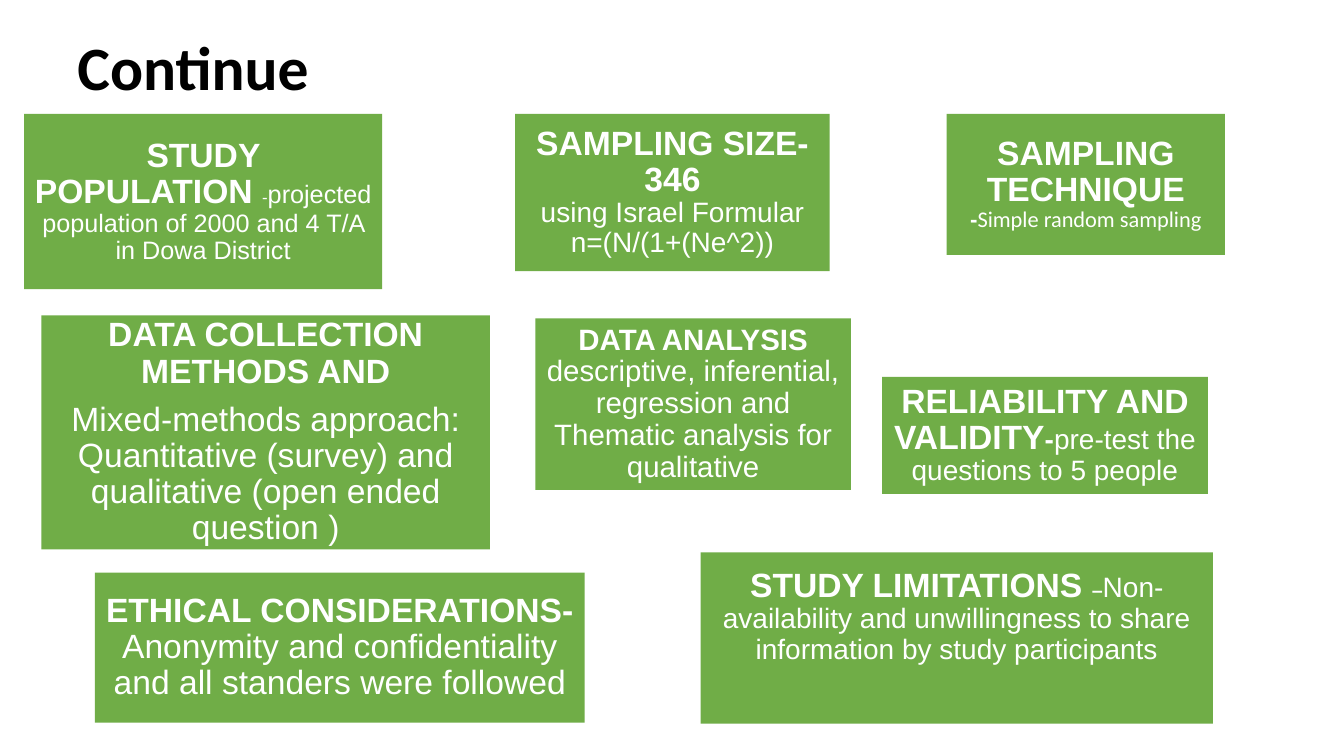
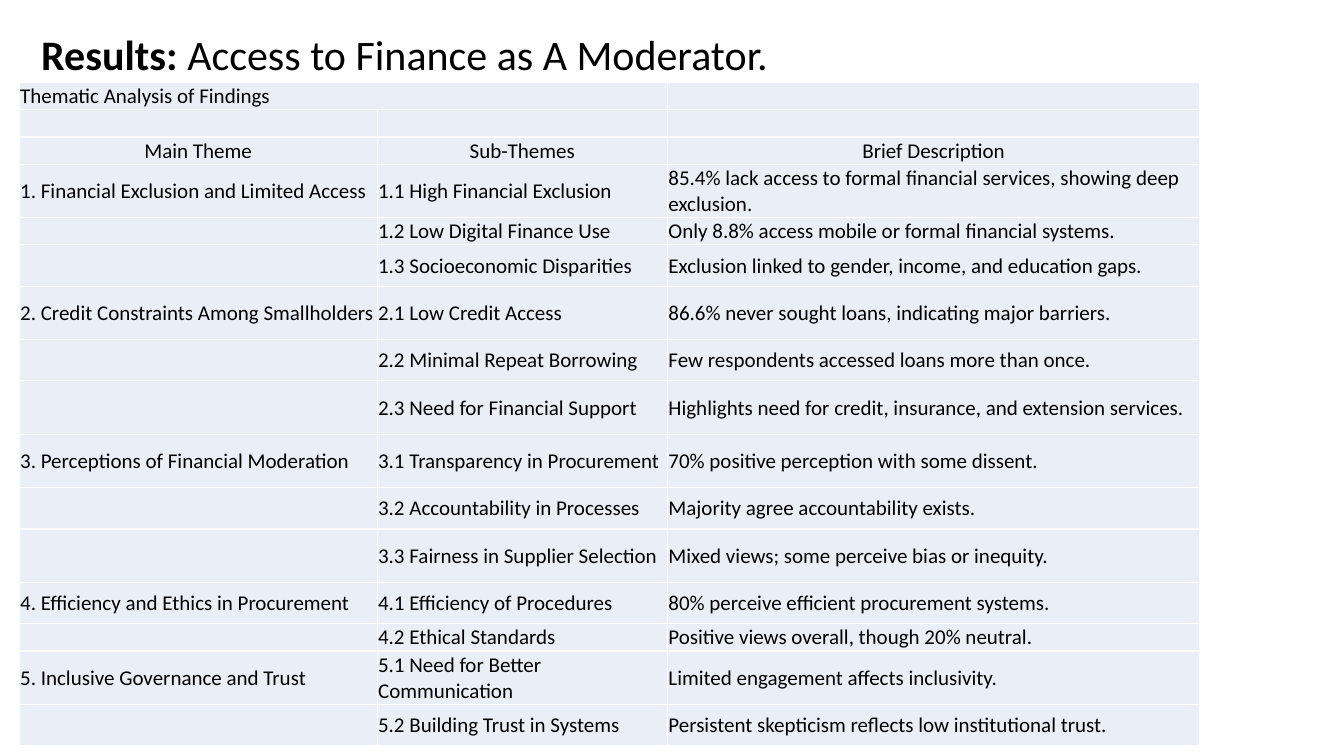
import lxml.etree
import pptx
import pptx.dml.color
import pptx.enum.shapes
import pptx.enum.text
import pptx.oxml.ns
import pptx.util

PX = 9144
GREEN, WHITE, BLACK, PALE = "70AD47", "FFFFFF", "000000", "EAEFF7"
BODY, HEAD = "Arial", "Calibri"
ALIGN = pptx.enum.text.PP_ALIGN
MIDDLE = pptx.enum.text.MSO_ANCHOR.MIDDLE
TOP = pptx.enum.text.MSO_ANCHOR.TOP

BOXES = [
    ((24, 113, 355, 174), [[("STUDY POPULATION ", 24, True), ("-", 12, False),
        ("projected population of 2000 and 4 T/A in Dowa District", 18, False)]]),
    ((511, 113, 312, 156), [[("SAMPLING SIZE- 346\n", 24, True),
        ("using Israel Formular n=(N/(1+(Ne^2))", 20, False)]]),
    ((939, 113, 276, 140), [[("SAMPLING TECHNIQUE\n", 24, True), ("-", 16, True),
        ("Simple random sampling", 16, False, HEAD)]]),
    ((41, 313, 445, 232), [[("DATA COLLECTION METHODS AND", 24, True)],
        [("Mixed-methods approach: Quantitative (survey) and "
          "qualitative (open ended question )", 24, False)]]),
    ((531, 316, 313, 170), [[("DATA ANALYSIS\n", 21, True),
        ("descriptive, inferential, regression and Thematic analysis for qualitative",
         21, False)]]),
    ((875, 374, 323, 116), [[("RELIABILITY AND VALIDITY", 24, True), ("-", 20, True),
        ("pre-test the questions to 5 people", 20, False)]]),
    ((94, 568, 486, 149), [[("ETHICAL CONSIDERATIONS-", 24, True),
        ("Anonymity and confidentiality and all standers were followed", 24, False)]]),
]
LIMITATIONS = ((695, 548, 508, 170), [[("STUDY LIMITATIONS ", 24, True), ("–", 14, True),
    ("Non-availability and unwillingness to share information by study participants",
     20, False)]])

COLUMNS = [355, 288, 528]
ROWS = [
    (27, "Thematic Analysis of Findings", "", ""),
    (27, "", "", ""),
    (27, "Main Theme", "Sub-Themes", "Brief Description"),
    (53, "1. Financial Exclusion and Limited Access", "1.1 High Financial Exclusion",
     "85.4% lack access to formal financial services, showing deep exclusion."),
    (27, "", "1.2 Low Digital Finance Use",
     "Only 8.8% access mobile or formal financial systems."),
    (41, "", "1.3 Socioeconomic Disparities",
     "Exclusion linked to gender, income, and education gaps."),
    (53, "2. Credit Constraints Among Smallholders", "2.1 Low Credit Access",
     "86.6% never sought loans, indicating major barriers."),
    (41, "", "2.2 Minimal Repeat Borrowing", "Few respondents accessed loans more than once."),
    (53, "", "2.3 Need for Financial Support",
     "Highlights need for credit, insurance, and extension services."),
    (53, "3. Perceptions of Financial Moderation", "3.1 Transparency in Procurement",
     "70% positive perception with some dissent."),
    (41, "", "3.2 Accountability in Processes", "Majority agree accountability exists."),
    (53, "", "3.3 Fairness in Supplier Selection",
     "Mixed views; some perceive bias or inequity."),
    (41, "4. Efficiency and Ethics in Procurement", "4.1 Efficiency of Procedures",
     "80% perceive efficient procurement systems."),
    (27, "", "4.2 Ethical Standards", "Positive views overall, though 20% neutral."),
    (53, "5. Inclusive Governance and Trust", "5.1 Need for Better Communication",
     "Limited engagement affects inclusivity."),
    (41, "", "5.2 Building Trust in Systems",
     "Persistent skepticism reflects low institutional trust."),
]
HEADER_ROW = 2


def px(*values):
    return [pptx.util.Emu(v * PX) for v in values]


def rgb(color):
    return pptx.dml.color.RGBColor.from_string(color)


def add_text(p, text, size=18, bold=False, color=BLACK, font=HEAD):
    r = p.add_run()
    r.text = text.rstrip("\n")
    r.font.size = pptx.util.Pt(size)
    r.font.bold = bold
    r.font.name = font
    r.font.color.rgb = rgb(color)
    if text.endswith("\n"):
        p.add_line_break()


def add_title(s, box, size, *parts):
    tf = s.shapes.add_textbox(*px(*box)).text_frame
    tf.word_wrap = True
    tf.vertical_anchor = MIDDLE
    p = tf.paragraphs[0]
    p.line_spacing = 0.9
    for text, bold in parts:
        add_text(p, text, size=size, bold=bold)


def add_box(s, box, paragraphs, anchor=MIDDLE, top=9):
    sp = s.shapes.add_shape(pptx.enum.shapes.MSO_SHAPE.RECTANGLE, *px(*box))
    sp.shadow.inherit = False
    sp.fill.solid()
    sp.fill.fore_color.rgb = rgb(GREEN)
    sp.line.fill.background()
    tf = sp.text_frame
    tf.word_wrap = True
    tf.vertical_anchor = anchor
    tf.margin_left, tf.margin_top, tf.margin_right, tf.margin_bottom = px(9, top, 9, 9)
    for i, runs in enumerate(paragraphs):
        p = tf.add_paragraph() if i else tf.paragraphs[0]
        p.alignment = ALIGN.CENTER
        p.line_spacing = 0.9
        if i:
            p.space_before = pptx.util.Pt(8.4)
        for text, size, bold, *font in runs:
            add_text(p, text, size=size, bold=bold, color=WHITE, font=font[0] if font else BODY)


def fill_cell(cell, text, align):
    cell.fill.solid()
    cell.fill.fore_color.rgb = rgb(PALE)
    cell.vertical_anchor = MIDDLE
    cell.margin_left, cell.margin_top, cell.margin_right, cell.margin_bottom = px(1, 1, 1, 0)
    p = cell.text_frame.paragraphs[0]
    p.alignment = align
    if text:
        add_text(p, text, size=15)
    else:
        lxml.etree.SubElement(p._p, pptx.oxml.ns.qn("a:endParaRPr"), sz="1500")


def add_themes(s, left, top):
    heights = [row[0] for row in ROWS]
    box = px(left, top, sum(COLUMNS), sum(heights))
    table = s.shapes.add_table(len(ROWS), len(COLUMNS), *box).table
    table.first_row = table.horz_banding = False
    for column, width in zip(table.columns, px(*COLUMNS)):
        column.width = width
    for i, (height, *texts) in enumerate(ROWS):
        table.rows[i].height = px(height)[0]
        align = ALIGN.CENTER if i == HEADER_ROW else ALIGN.LEFT
        for j, text in enumerate(texts):
            fill_cell(table.cell(i, j), text, align)
    table.cell(0, 0).merge(table.cell(0, 1))


def main():
    prs = pptx.Presentation()
    prs.slide_width, prs.slide_height = px(1333, 750)
    blank = prs.slide_layouts[6]

    s = prs.slides.add_slide(blank)
    add_title(s, (67, 32, 1150, 76), 44, ("Continue", True))
    for box, paragraphs in BOXES:
        add_box(s, box, paragraphs)
    add_box(s, *LIMITATIONS, anchor=TOP, top=16)

    s = prs.slides.add_slide(blank)
    add_title(s, (31, 30, 1272, 52), 30,
              ("Results: ", True), ("Access to Finance as A Moderator.", False))
    add_themes(s, 19, 82)

    prs.save("out.pptx")


if __name__ == "__main__":
    main()
